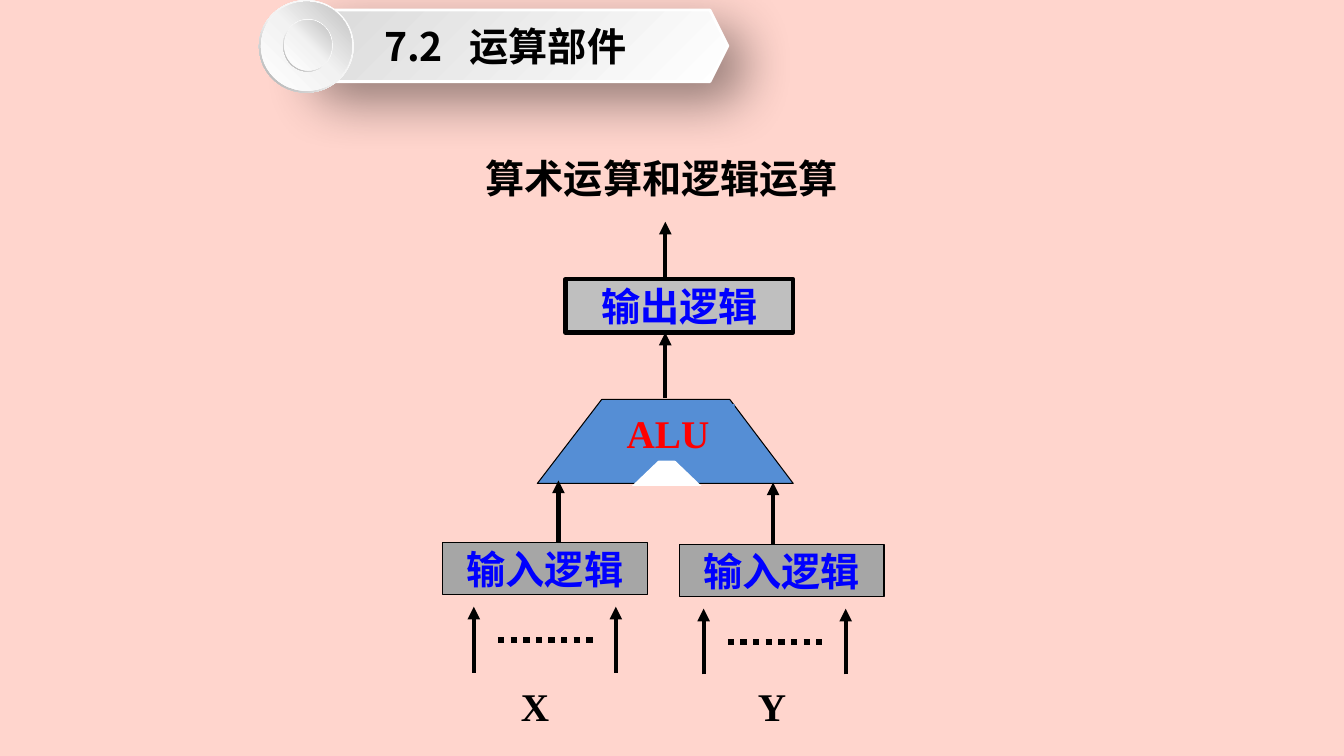
import copy
from dataclasses import dataclass

import pptx
import pptx.dml.color
import pptx.enum.dml
import pptx.enum.shapes
import pptx.enum.text
import pptx.oxml
import pptx.oxml.ns
import pptx.util

Pt = pptx.util.Pt
Shape = pptx.enum.shapes.MSO_SHAPE
Align = pptx.enum.text.PP_ALIGN
qn = pptx.oxml.ns.qn
NAMESPACE = pptx.oxml.ns.nsdecls("a")


def rgb(value):
    return pptx.dml.color.RGBColor.from_string(value)


@dataclass(frozen=True)
class Theme:
    background: str = "FFD5CD"
    ink: str = "000000"
    white: str = "FFFFFF"
    label: str = "0000FF"
    accent: str = "FF0000"
    unit: str = "558ED5"
    output: str = "BFBFBF"
    input: str = "A6A6A6"
    banner: tuple = ((0, "FFFFFF"), (1, "D9D9D9"))
    ring: tuple = ((0, "FFFFFF"), (0.55, "F2F2F2"), (1, "A6A6A6"))
    disc: tuple = ((0, "FFFFFF"), (0.51, "F2F2F2"), (1, "BFBFBF"))
    serif: str = "Times New Roman"
    sans: str = "Noto Sans CJK SC"
    size: float = 28
    thin: float = 0.75
    thick: float = 3
    dots: float = 4.5


class Diagram:
    def __init__(self, deck, theme):
        self.theme = theme
        self.page = deck.slides.add_slide(deck.slide_layouts[5])
        self.page.background.fill.solid()
        self.page.background.fill.fore_color.rgb = rgb(theme.background)

    def caption(self, shape, text, color, font, align=Align.LEFT, wrap=True, inset=7.2, tab=None):
        frame = shape.text_frame
        frame.text = text
        frame.word_wrap = wrap
        frame.auto_size = pptx.enum.text.MSO_AUTO_SIZE.NONE
        frame.vertical_anchor = pptx.enum.text.MSO_ANCHOR.MIDDLE
        frame.margin_left = frame.margin_right = Pt(inset)
        frame.margin_top = frame.margin_bottom = Pt(3.6)
        para = frame.paragraphs[0]
        if tab:
            para._p.get_or_add_pPr().append(pptx.oxml.parse_xml(
                f'<a:tabLst {NAMESPACE}><a:tab pos="{Pt(tab)}" algn="l"/></a:tabLst>'))
        para.alignment = align
        for span in para.runs:
            span.font.size = Pt(self.theme.size)
            span.font.bold = True
            span.font.name = font
            span.font.color.rgb = rgb(color)
            span.font._element.append(pptx.oxml.parse_xml(
                f'<a:ea {NAMESPACE} typeface="{self.theme.sans}"/>'))

    def paint(self, shape, fill, line=None, width=0):
        shape.shadow.inherit = False
        shape.fill.solid()
        shape.fill.fore_color.rgb = rgb(fill)
        if line:
            shape.line.color.rgb = rgb(line)
            shape.line.width = Pt(width)
        else:
            shape.line.fill.background()

    def box(self, kind, bounds, fill, line=None, width=0):
        shape = self.page.shapes.add_shape(kind, *map(Pt, bounds))
        self.paint(shape, fill, line, width)
        return shape

    def gradient(self, kind, bounds, stops, angle, line=None, width=0):
        shape = self.box(kind, bounds, self.theme.white, line, width)
        shape.fill.gradient()
        shape.fill.gradient_angle = (360 - angle) % 360
        stop_list = shape._element.spPr.find(".//" + qn("a:gsLst"))
        while len(stop_list) < len(stops):
            stop_list.append(copy.deepcopy(stop_list[-1]))
        for stop, (position, color) in zip(shape.fill.gradient_stops, stops):
            stop.position = position
            stop.color.rgb = rgb(color)
        return shape

    def shadow(self, shape, blur, distance, angle, opacity):
        shape._element.spPr.find(qn("a:effectLst")).append(pptx.oxml.parse_xml(
            f'<a:outerShdw {NAMESPACE} blurRad="{Pt(blur)}" dist="{Pt(distance)}" '
            f'dir="{angle * 60000}" algn="tl" rotWithShape="0">'
            f'<a:srgbClr val="{self.theme.ink}"><a:alpha val="{opacity * 1000}"/></a:srgbClr>'
            '</a:outerShdw>'))

    def outline(self, points, fill):
        points = [(Pt(x), Pt(y)) for x, y in points]
        builder = self.page.shapes.build_freeform(*points[0])
        builder.add_line_segments(points[1:], close=True)
        self.paint(builder.convert_to_shape(), fill, self.theme.ink, self.theme.thin)

    def line(self, start, end, width):
        connector = self.page.shapes.add_connector(
            pptx.enum.shapes.MSO_CONNECTOR.STRAIGHT, *map(Pt, (*start, *end)))
        connector.line.color.rgb = rgb(self.theme.ink)
        connector.line.width = Pt(width)
        connector._element.spPr.append(pptx.oxml.parse_xml(f'<a:effectLst {NAMESPACE}/>'))
        return connector

    def arrow_up(self, x, bottom, top):
        connector = self.line((x, bottom), (x, top), self.theme.thick)
        connector.line._get_or_add_ln().append(
            pptx.oxml.parse_xml(f'<a:tailEnd {NAMESPACE} type="triangle"/>'))

    def dots(self, left, right, y):
        connector = self.line((left, y), (right, y), self.theme.dots)
        connector.line.dash_style = pptx.enum.dml.MSO_LINE.ROUND_DOT

    def text(self, bounds, text):
        shape = self.page.shapes.add_textbox(*map(Pt, bounds))
        self.caption(shape, text, self.theme.ink, self.theme.serif, wrap=False)

    def title(self, bounds, text, tab):
        shape = self.page.shapes.title
        shape.left, shape.top, shape.width, shape.height = map(Pt, bounds)
        self.caption(shape, text, self.theme.ink, self.theme.sans, inset=0, tab=tab)
        self.page.shapes._spTree.append(shape._element)

    def input_column(self, name, box_left, box_top, feed_x, arrows_left, label_left):
        theme = self.theme
        self.arrow_up(feed_x, box_top + 3.3, box_top - 44.2)
        box = self.box(Shape.RECTANGLE, (box_left, box_top, 146.2, 37.4),
                       theme.input, theme.ink, theme.thin)
        self.caption(box, "输入逻辑", theme.label, theme.serif, Align.CENTER)
        for x in (arrows_left, arrows_left + 101.5):
            self.arrow_up(x, box_top + 93, box_top + 46)
        self.dots(arrows_left + 17.3, arrows_left + 87.8, box_top + 69.8)
        self.text((label_left, 484.6, 32.4, 39.6), name)


def main():
    deck = pptx.Presentation()
    deck.slide_width, deck.slide_height = Pt(960), Pt(540)
    theme = Theme()
    diagram = Diagram(deck, theme)

    output = diagram.box(Shape.RECTANGLE, (403.9, 199.4, 162.7, 38.2),
                         theme.output, theme.ink, theme.thick)
    diagram.caption(output, "输出逻辑", theme.label, theme.serif, Align.CENTER, False, 0)
    diagram.arrow_up(475.2, 284.4, 237.6)
    diagram.arrow_up(475.2, 199.4, 158.4)

    diagram.outline([(383.8, 345.3), (429.8, 285.3), (521.3, 285.3), (566.6, 345.3)], theme.unit)
    diagram.box(Shape.ISOSCELES_TRIANGLE, (451.4, 323.3, 49.7, 23.8), theme.white)
    unit = diagram.box(Shape.RECTANGLE, (440.6, 288.7, 84.2, 40.3), theme.unit)
    diagram.caption(unit, "ALU", theme.accent, theme.serif)

    diagram.input_column("X", 316.1, 387.4, 398.9, 338.4, 365)
    diagram.input_column("Y", 485.3, 388.8, 552.2, 502.6, 534.2)

    banner = diagram.gradient(Shape.HEXAGON, (208.1, 7.2, 311.8, 51.1),
                              theme.banner, 225, theme.white, 2)
    diagram.shadow(banner, 38, 19, 45, 42)
    for left, top, width, height in ((185, 0, 67.7, 66.2), (202.3, 13.7, 35.3, 37.4)):
        ring = diagram.gradient(Shape.DONUT, (left, top, width, height), theme.ring, 135)
        ring.adjustments[0] = 0.05
        rim = width * 0.02
        diagram.gradient(Shape.OVAL, (left + rim, top + rim, width - 2 * rim, height - 2 * rim),
                         theme.disc, 315)
    diagram.title((274.3, 7.2, 220, 51.1), "7.2\t运算部件", 61.2)
    diagram.text((339.8, 108, 266.4, 38.2), "算术运算和逻辑运算")

    deck.save("out.pptx")


if __name__ == "__main__":
    main()
